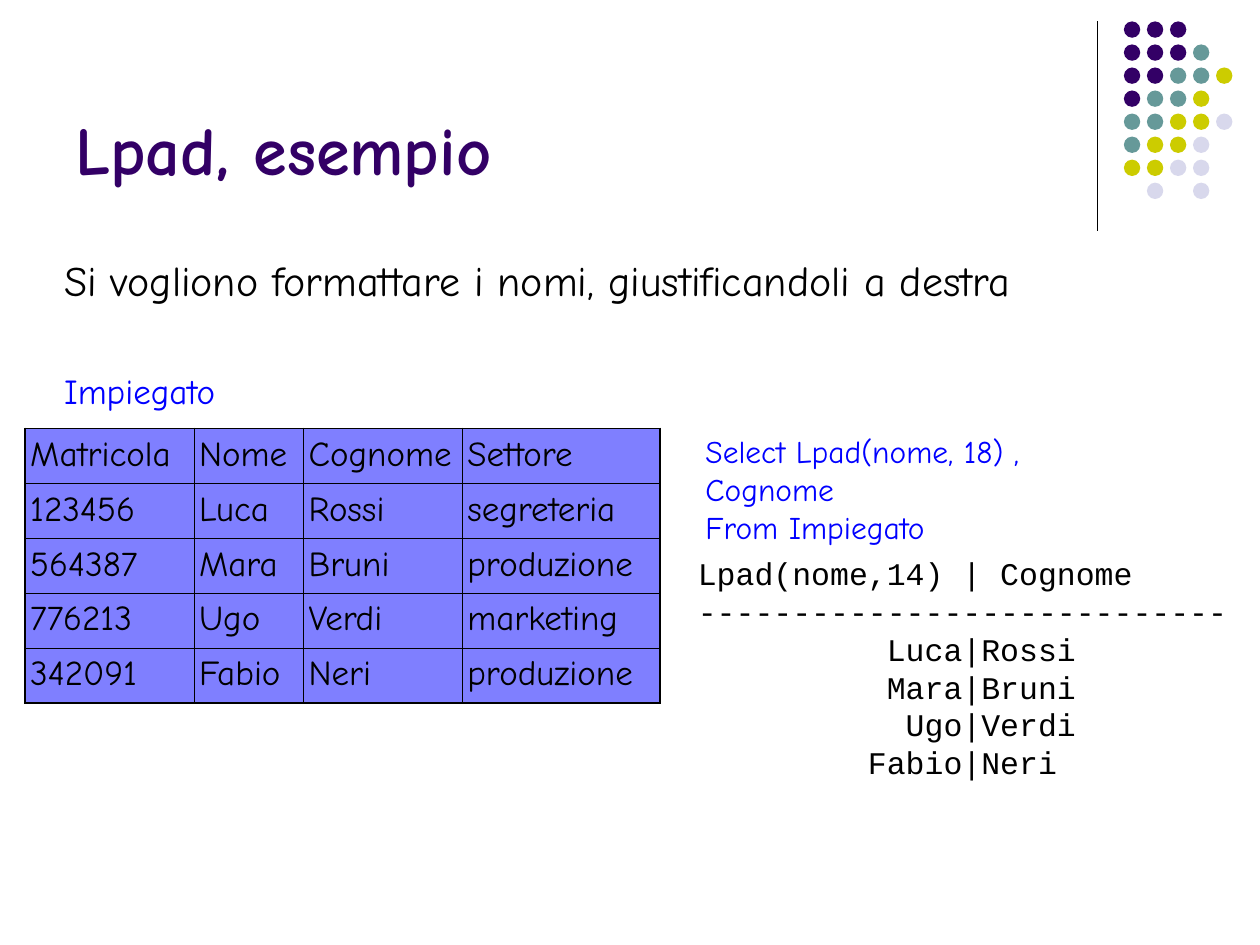
"""Build the slide that shows the Lpad example with its table and output."""
from dataclasses import dataclass

from lxml import etree
from pptx import Presentation
from pptx.dml.color import RGBColor
from pptx.enum.shapes import MSO_CONNECTOR, MSO_SHAPE
from pptx.enum.text import MSO_ANCHOR, MSO_AUTO_SIZE
from pptx.oxml.ns import qn
from pptx.util import Inches, Pt

STRAIGHT = MSO_CONNECTOR.STRAIGHT
OVAL = MSO_SHAPE.OVAL
TOP, BOTTOM = MSO_ANCHOR.TOP, MSO_ANCHOR.BOTTOM
FIT_SHAPE, FIT_NONE = MSO_AUTO_SIZE.SHAPE_TO_FIT_TEXT, MSO_AUTO_SIZE.NONE


@dataclass(frozen=True)
class Theme:
    font: str = "Comic Neue"
    code_font: str = "Courier New"
    purple: str = "330066"
    teal: str = "669999"
    olive: str = "CCCC00"
    lilac: str = "D8D8EC"
    black: str = "000000"
    blue: str = "0000FF"
    title_size: int = 39
    body_size: int = 24
    table_size: int = 20
    query_size: int = 18
    rule_width: float = 0.75
    outer_border: float = 1.08
    inner_border: float = 0.45
    cell_opacity: int = 50


class SlideBuilder:
    def __init__(self, slide, theme):
        self.slide = slide
        self.theme = theme

    def add_run(self, paragraph, text, size, color, font, bold=False):
        run = paragraph.add_run()
        run.text = text
        run.font.size = Pt(size)
        run.font.name = font
        run.font.bold = bold
        run.font.color.rgb = RGBColor.from_string(color)

    def text(self, box, lines, size, color, font=None, bold=False, anchor=TOP,
             wrap=True, fit=FIT_SHAPE):
        shape = self.slide.shapes.add_textbox(*map(Inches, box))
        frame = shape.text_frame
        frame.word_wrap = wrap
        frame.auto_size = fit
        frame.vertical_anchor = anchor
        for index, line in enumerate(lines):
            paragraph = frame.add_paragraph() if index else frame.paragraphs[0]
            self.add_run(paragraph, line, size, color, font or self.theme.font, bold)

    def rule(self, x, top, bottom):
        connector = self.slide.shapes.add_connector(
            STRAIGHT, Inches(x), Inches(top), Inches(x), Inches(bottom))
        connector.line.color.rgb = RGBColor.from_string(self.theme.black)
        connector.line.width = Pt(self.theme.rule_width)
        etree.SubElement(connector._element.spPr, qn("a:effectLst"))

    def dots(self, left, top, pitch, diameter, pattern):
        colors = {"P": self.theme.purple, "T": self.theme.teal,
                  "O": self.theme.olive, "L": self.theme.lilac}
        group = self.slide.shapes.add_group_shape()
        for row, keys in enumerate(pattern):
            for column, key in enumerate(keys):
                if key not in colors:
                    continue
                dot = group.shapes.add_shape(
                    OVAL, Inches(left + column * pitch), Inches(top + row * pitch),
                    Inches(diameter), Inches(diameter))
                dot.shadow.inherit = False
                dot.fill.solid()
                dot.fill.fore_color.rgb = RGBColor.from_string(colors[key])
                dot.line.fill.background()

    def style_cell(self, cell, outer_sides):
        theme = self.theme
        cell.margin_left = cell.margin_right = Inches(0.04)
        cell.fill.solid()
        cell.fill.fore_color.rgb = RGBColor.from_string(theme.blue)
        properties = cell._tc.get_or_add_tcPr()
        fill_color = properties.find(qn("a:solidFill"))[0]
        etree.SubElement(fill_color, qn("a:alpha"), val=str(theme.cell_opacity * 1000))
        for index, side in enumerate("LRTB"):
            width = theme.outer_border if side in outer_sides else theme.inner_border
            border = etree.Element(qn(f"a:ln{side}"), w=str(Pt(width)))
            border_fill = etree.SubElement(border, qn("a:solidFill"))
            etree.SubElement(border_fill, qn("a:srgbClr"), val=theme.black)
            properties.insert(index, border)

    def table(self, left, top, height, widths, rows):
        frame = self.slide.shapes.add_table(
            len(rows), len(widths), Inches(left), Inches(top),
            Inches(sum(widths)), Inches(height))
        table = frame.table
        table.first_row = table.horz_banding = False
        for column, width in zip(table.columns, widths):
            column.width = Inches(width)
        last_row, last_column = len(rows) - 1, len(widths) - 1
        for row, values in enumerate(rows):
            for column, value in enumerate(values):
                edges = {"L": column == 0, "R": column == last_column,
                         "T": row == 0, "B": row == last_row}
                cell = table.cell(row, column)
                self.style_cell(cell, [side for side, outer in edges.items() if outer])
                self.add_run(cell.text_frame.paragraphs[0], value,
                             self.theme.table_size, self.theme.black, self.theme.font)


def main():
    theme = Theme()
    presentation = Presentation()
    presentation.slide_width = Inches(10)
    presentation.slide_height = Inches(7.5)
    slide = presentation.slides.add_slide(presentation.slide_layouts[6])
    builder = SlideBuilder(slide, theme)

    builder.rule(8.71, 0.17, 1.83)
    builder.dots(8.92, 0.17, 1.28 / 7, 0.13, [
        "PPP", "PPPT", "PPTTO", "PTTO", "TTOOL", "TOOL", "OOLL", " L L"])
    builder.text((0.5, 0.13, 8.25, 1.42), ["Lpad, esempio"], theme.title_size,
                 theme.purple, bold=True, anchor=BOTTOM, fit=FIT_NONE)
    builder.text((0.41, 1.97, 9.08, 0.5),
                 ["Si vogliono formattare i nomi, giustificandoli a destra"],
                 theme.body_size, theme.black)
    builder.text((0.41, 2.88, 1.41, 0.44), ["Impiegato"],
                 theme.table_size, theme.blue, wrap=False)
    builder.table(0.2, 3.4, 2.18, [1.34, 0.87, 1.26, 1.57], [
        ("Matricola", "Nome", "Cognome", "Settore"),
        ("123456", "Luca", "Rossi", "segreteria"),
        ("564387", "Mara", "Bruni", "produzione"),
        ("776213", "Ugo", "Verdi", "marketing"),
        ("342091", "Fabio", "Neri", "produzione")])
    builder.text((5.5, 3.38, 3.79, 0.7),
                 ["Select Lpad(nome, 18) , Cognome", "From Impiegato"],
                 theme.query_size, theme.blue, wrap=False)
    builder.text((5.44, 4.35, 4.4, 1.9), [
        "Lpad(nome,14) | Cognome",
        "----------------------------",
        "          Luca|Rossi",
        "          Mara|Bruni",
        "           Ugo|Verdi",
        "         Fabio|Neri"],
        theme.query_size, theme.black, font=theme.code_font, wrap=False)

    presentation.save("out.pptx")


if __name__ == "__main__":
    main()
